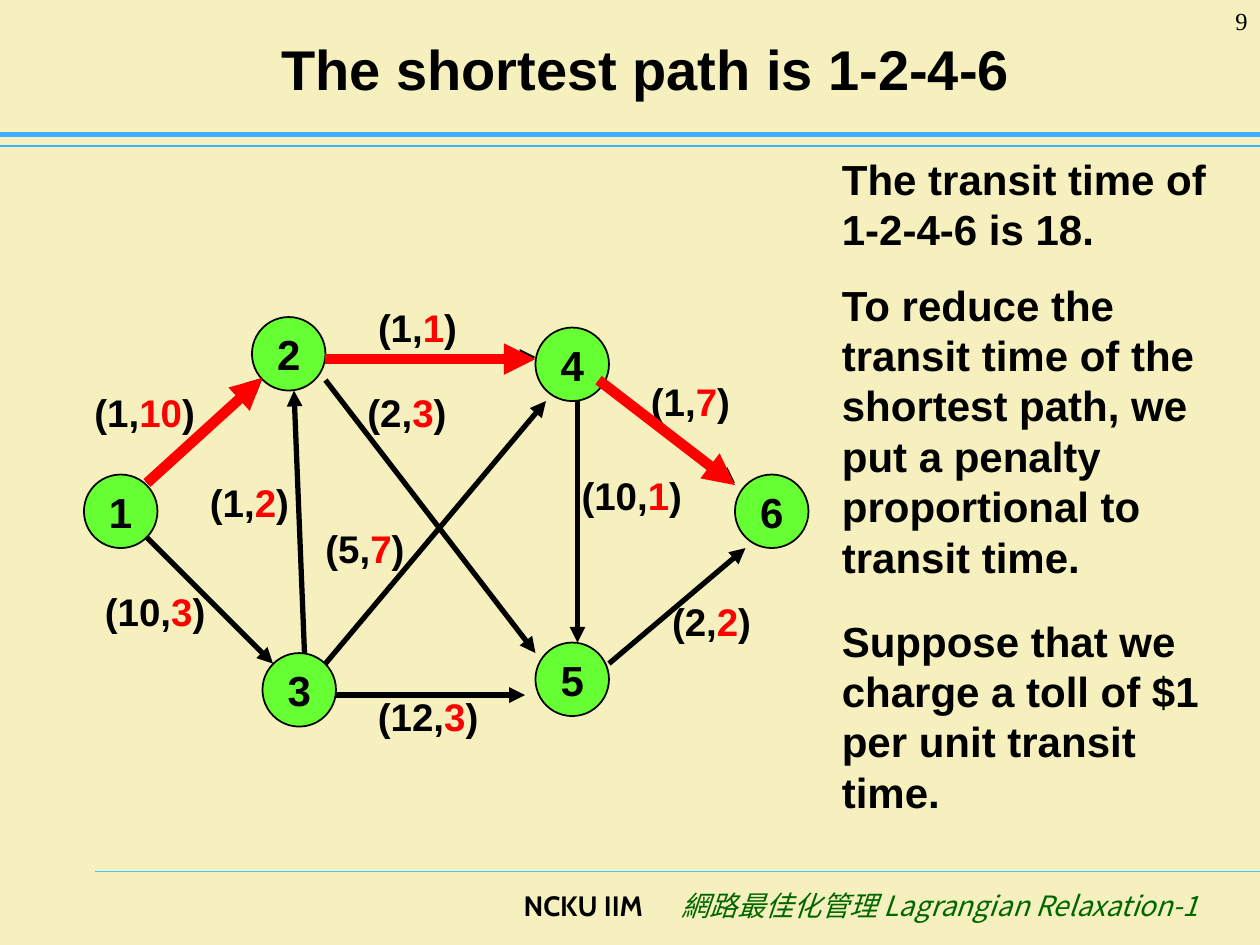
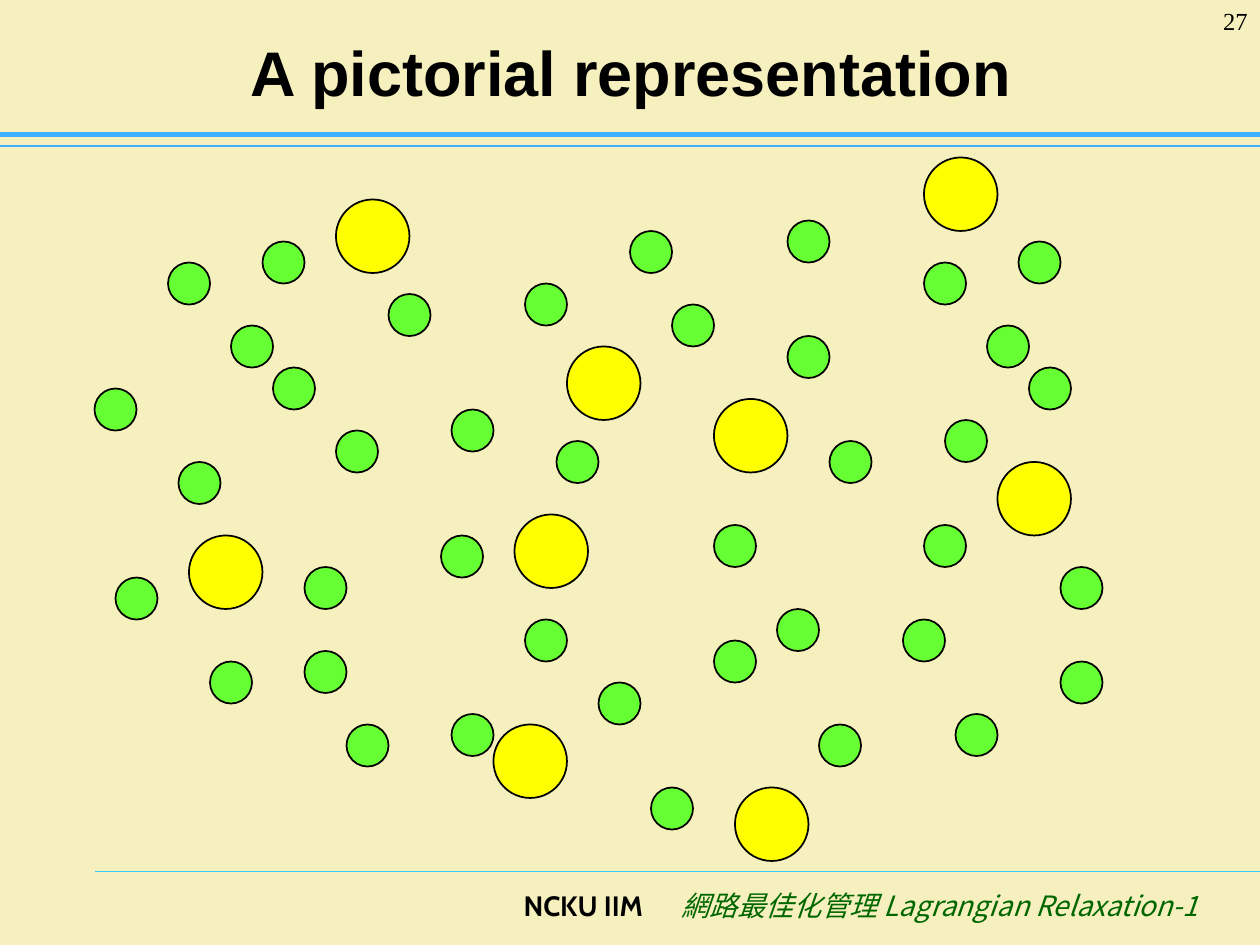
"""Build two slides on Lagrangian relaxation: a shortest path network and a scatter of nodes."""
from lxml.etree import SubElement
from pptx import Presentation
from pptx.dml.color import RGBColor
from pptx.enum.shapes import MSO_CONNECTOR, MSO_SHAPE
from pptx.enum.text import MSO_ANCHOR, MSO_AUTO_SIZE, PP_ALIGN
from pptx.oxml.ns import qn
from pptx.util import Cm, Pt

CREAM = RGBColor(0xF5, 0xF0, 0xBD)
BLACK = RGBColor(0x00, 0x00, 0x00)
RED = RGBColor(0xFF, 0x00, 0x00)
GREEN = RGBColor(0x66, 0xFF, 0x33)
YELLOW = RGBColor(0xFF, 0xFF, 0x00)
DARK_GREEN = RGBColor(0x00, 0x66, 0x00)
BLUE = RGBColor(0x3D, 0xB0, 0xFF)
CYAN = RGBColor(0x33, 0xCC, 0xFF)
GRID = Cm(25.4) / 120
BIG, SMALL = 7, 4


def add_line(page, ends, color, width, arrow=False):
    line = page.shapes.add_connector(MSO_CONNECTOR.STRAIGHT, *[round(n * GRID) for n in ends])
    line.line.color.rgb = color
    line.line.width = Pt(width)
    properties = line._element.spPr
    if arrow:
        SubElement(properties.find(qn("a:ln")), qn("a:tailEnd"), type="triangle")
    SubElement(properties, qn("a:effectLst"))


def add_text(page, area, spans, size, font="Arial", bold=True, align=PP_ALIGN.LEFT):
    box = page.shapes.add_textbox(*[round(n * GRID) for n in area])
    box.text_frame.word_wrap = True
    para = box.text_frame.paragraphs[0]
    para.alignment = align
    for text, color in spans:
        span = para.add_run()
        span.text = text
        span.font.name = font
        span.font.size = Pt(size)
        span.font.bold = bold
        span.font.color.rgb = color
    return box


deck = Presentation()
deck.slide_width, deck.slide_height = Cm(25.4), Cm(19.05)
background = deck.slide_master.background.fill
background.solid()
background.fore_color.rgb = CREAM

pages = []
for heading, size, area, number in [
    ("The shortest path is 1-2-4-6", 32, (5, 4, 113, 5), "9"),
    ("A pictorial representation", 36, (6.1, 1.5, 108, 10.5), "27"),
]:
    page = deck.slides.add_slide(deck.slide_layouts[5])
    pages.append(page)
    add_line(page, (9, 83, 120, 83), CYAN, 0.75)
    add_line(page, (0, 13.9, 120, 13.9), BLUE, 0.75)
    add_line(page, (0, 12.8, 120, 12.8), BLUE, 2.5)
    add_text(page, (22, 84, 40.4, 6), [("NCKU IIM", BLACK)], 16, "Cabin", align=PP_ALIGN.RIGHT)
    course = add_text(page, (62.4, 84, 52.9, 6), [("網路最佳化管理 Lagrangian Relaxation-1", DARK_GREEN)],
                      16, "Noto Sans CJK SC", False, PP_ALIGN.RIGHT)
    course.text_frame.margin_left = 0
    span = course.text_frame.paragraphs[0].runs[0]
    span.font.italic = True
    SubElement(span._r.get_or_add_rPr(), qn("a:ea"), typeface="Noto Sans CJK SC")
    add_text(page, (110, 0, 10, 6), [(number, BLACK)], 14, "Times New Roman", False, PP_ALIGN.RIGHT)

    title = page.shapes.title
    title.left, title.top, title.width, title.height = [round(n * GRID) for n in area]
    title.text_frame.text = heading
    title.text_frame.auto_size = MSO_AUTO_SIZE.NONE
    title.text_frame.vertical_anchor = MSO_ANCHOR.MIDDLE
    para = title.text_frame.paragraphs[0]
    para.alignment = PP_ALIGN.CENTER
    font = para.runs[0].font
    font.name, font.size, font.bold = "Arial", Pt(size), True
    font.color.rgb = BLACK

network, scatter = pages

for ends in [(14, 46, 25, 36), (31, 34, 51, 34), (57, 36, 70, 46)]:
    add_line(network, ends, BLACK, 3, arrow=True)

for cost, time, left, top in [
    (1, 10, 9, 37), (1, 1, 36, 29), (1, 7, 62, 36), (2, 3, 35, 37), (10, 3, 10, 56),
    (12, 3, 36, 66), (2, 2, 64, 57), (1, 2, 20, 45.6), (10, 1, 55.4, 45), (5, 7, 31, 50),
]:
    width = 9.6 if cost + time > 10 else 7.6
    label = add_text(network, (left, top, width, 4.4),
                     [(f"({cost},", BLACK), (str(time), RED), (")", BLACK)], 22)
    frame = label.text_frame
    frame.word_wrap = False
    frame.margin_left = frame.margin_right = frame.margin_top = frame.margin_bottom = 0

nodes = [("1", 8, 45.2), ("2", 24, 30.2), ("4", 51, 31.2),
         ("5", 51, 61.2), ("3", 25, 62.2), ("6", 70, 45.2)]
customers = [
    (16, 25), (9, 37), (25, 23), (22, 31), (37, 28), (26, 35), (20, 63), (64, 29),
    (32, 41), (43, 39), (86, 59), (17, 44), (50, 27), (42, 51), (29, 54), (68, 50),
    (75, 32), (50, 59), (53, 42), (43, 68), (90, 40), (68, 61), (60, 22), (88, 25),
    (79, 42), (97, 23), (94, 31), (98, 35), (88, 50), (101, 54), (78, 69), (75, 21),
    (91, 68), (74, 58), (101, 63), (33, 69), (57, 65), (11, 55), (29, 62), (62, 75),
]
facilities = [(18, 51), (54, 33), (68, 38), (32, 19), (47, 69),
              (70, 75), (95, 44), (49, 49), (88, 15)]
circles = [(network, name, left, top, BIG, GREEN) for name, left, top in nodes]
circles += [(scatter, "", left, top, SMALL, GREEN) for left, top in customers]
circles += [(scatter, "", left, top, BIG, YELLOW) for left, top in facilities]
for page, name, left, top, size, color in circles:
    circle = page.shapes.add_shape(MSO_SHAPE.OVAL, *[round(n * GRID) for n in (left, top, size, size)])
    circle.shadow.inherit = False
    circle.fill.solid()
    circle.fill.fore_color.rgb = color
    circle.line.color.rgb = BLACK
    circle.line.width = Pt(1)
    if name:
        circle.text_frame.text = name
        circle.text_frame.word_wrap = False
        circle.text_frame.vertical_anchor = MSO_ANCHOR.MIDDLE
        para = circle.text_frame.paragraphs[0]
        para.alignment = PP_ALIGN.CENTER
        font = para.runs[0].font
        font.name, font.size, font.bold = "Arial", Pt(24), True
        font.color.rgb = BLACK

for ends, color, width in [
    ((14, 46, 25, 36), RED, 6),
    ((31, 34.2, 51, 34.2), RED, 6),
    ((31, 36.2, 51, 62.2), BLACK, 3),
    ((14, 51.2, 26, 63.2), BLACK, 3),
    ((29, 62.2, 28, 37.2), BLACK, 3),
    ((31, 63.2, 52, 38.2), BLACK, 3),
    ((32, 66.2, 50, 66.2), BLACK, 3),
    ((58, 63.2, 71, 52.2), BLACK, 3),
    ((57, 36.2, 70, 46.2), RED, 6),
    ((55, 38.2, 55, 61.2), BLACK, 3),
]:
    add_line(network, ends, color, width, arrow=True)

for top, width, height, note in [
    (14, 39, 10.8, "The transit time of\v1-2-4-6 is 18."),
    (26, 40, 30, "To reduce the transit time of the shortest path, we put a penalty "
                 "proportional to transit time."),
    (58, 37, 20.4, "Suppose that we charge a toll of $1 per unit transit time."),
]:
    box = add_text(network, (79, top, width, height), [], 24)
    para = box.text_frame.paragraphs[0]
    para.text = note
    for span in para.runs:
        span.font.name, span.font.size, span.font.bold = "Arial", Pt(24), True
        span.font.color.rgb = BLACK

deck.save("out.pptx")
